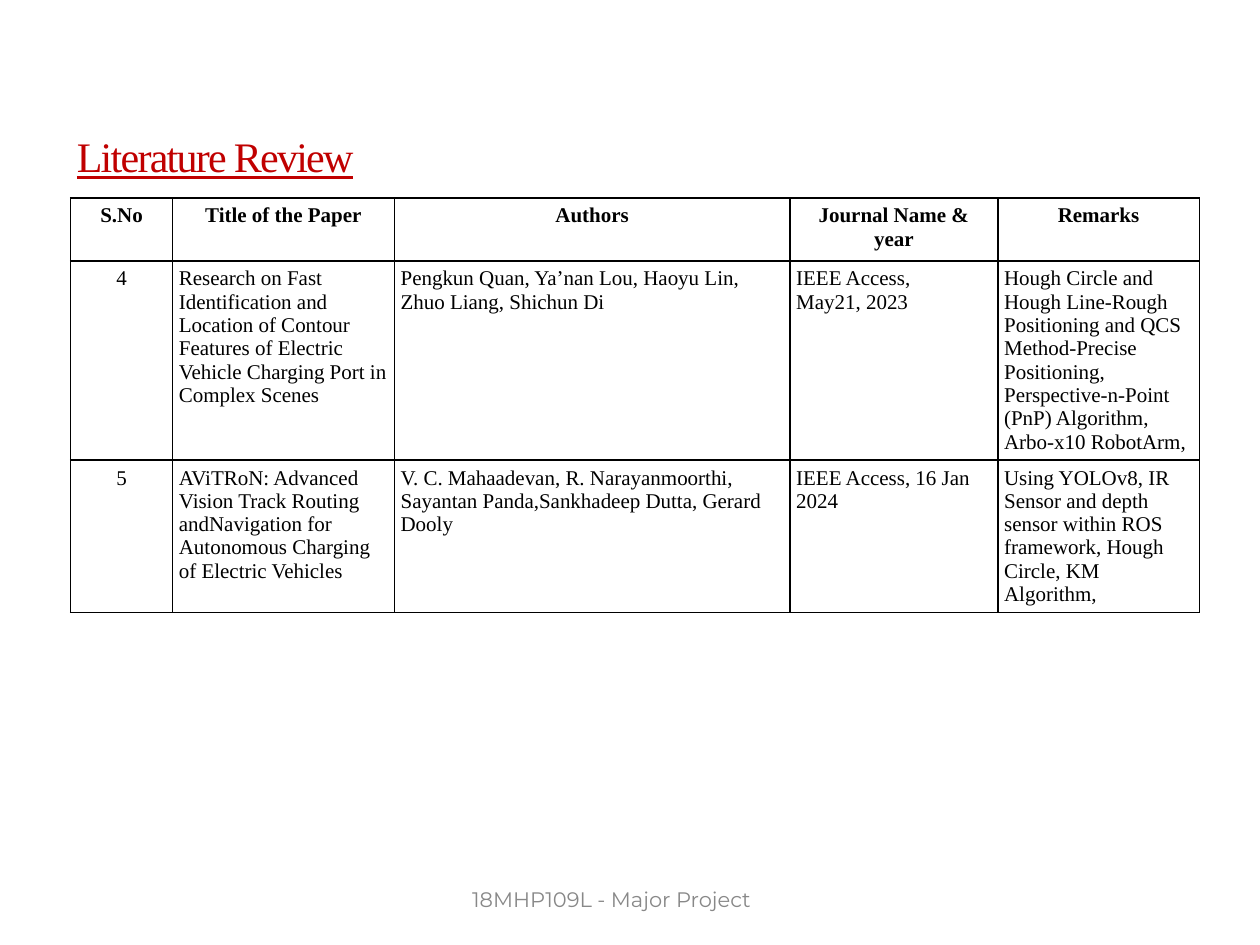
import dataclasses

import lxml.etree
import pptx
import pptx.dml.color
import pptx.enum.text
import pptx.oxml.ns
import pptx.util

Inches = pptx.util.Inches
Pt = pptx.util.Pt
RGBColor = pptx.dml.color.RGBColor
PP_ALIGN = pptx.enum.text.PP_ALIGN
MSO_ANCHOR = pptx.enum.text.MSO_ANCHOR
qn = pptx.oxml.ns.qn


@dataclasses.dataclass(frozen=True)
class Theme:
    heading_font: str = "Times New Roman"
    footer_font: str = "Montserrat"
    heading_color: str = "C00000"
    text_color: str = "000000"
    footer_color: str = "888888"
    border_color: str = "000000"
    heading_size: int = 24
    text_size: int = 12
    border_width: float = 0.96
    inset: float = 0.05


THEME = Theme()

COLUMN_WIDTHS = [0.81, 1.76, 3.14, 1.65, 1.6]
ROW_HEIGHTS = [0.5, 0.7, 1.18]
PAPERS = [
    ["S.No", "Title of the Paper", "Authors", "Journal Name & year", "Remarks"],
    [
        "4",
        "Research on Fast Identification and Location of Contour Features "
        "of Electric Vehicle Charging Port in Complex Scenes",
        "Pengkun Quan, Ya’nan Lou, Haoyu Lin, Zhuo Liang, Shichun Di",
        "IEEE Access,\nMay21, 2023",
        "Hough Circle and Hough Line-Rough Positioning and QCS Method-Precise "
        "Positioning, Perspective-n-Point (PnP) Algorithm, Arbo-x10 RobotArm,",
    ],
    [
        "5",
        "AViTRoN: Advanced Vision Track Routing andNavigation for "
        "Autonomous Charging of Electric Vehicles",
        "V. C. Mahaadevan, R. Narayanmoorthi, Sayantan Panda,"
        "Sankhadeep Dutta, Gerard Dooly",
        "IEEE Access, 16 Jan 2024",
        "Using YOLOv8, IR Sensor and depth sensor within ROS framework, "
        "Hough Circle, KM Algorithm,",
    ],
]


def set_insets(holder):
    holder.margin_left = holder.margin_right = Inches(THEME.inset)
    holder.margin_top = holder.margin_bottom = Inches(THEME.inset)


def style_paragraph(paragraph, family, size, color, align, bold=False):
    paragraph.alignment = align
    paragraph.font.name = family
    paragraph.font.size = Pt(size)
    paragraph.font.bold = bold
    paragraph.font.color.rgb = RGBColor.from_string(color)


def add_borders(cell):
    properties = cell._tc.get_or_add_tcPr()
    for position, side in enumerate(("a:lnL", "a:lnR", "a:lnT", "a:lnB")):
        line = lxml.etree.Element(qn(side), w=str(Pt(THEME.border_width)))
        fill = lxml.etree.SubElement(line, qn("a:solidFill"))
        lxml.etree.SubElement(fill, qn("a:srgbClr"), val=THEME.border_color)
        properties.insert(position, line)


def place_heading(slide, left, top, width, height):
    heading = slide.shapes.title
    heading.left, heading.top, heading.width, heading.height = left, top, width, height
    frame = heading.text_frame
    frame.text = "Literature Review"
    frame.word_wrap = True
    frame.auto_size = pptx.enum.text.MSO_AUTO_SIZE.NONE
    frame.vertical_anchor = MSO_ANCHOR.TOP
    set_insets(frame)
    paragraph = frame.paragraphs[0]
    style_paragraph(paragraph, THEME.heading_font, THEME.heading_size,
                    THEME.heading_color, PP_ALIGN.LEFT)
    paragraph.line_spacing = 0.72
    paragraph.space_before = Pt(0)
    paragraph.font.underline = True
    paragraph.runs[0]._r.get_or_add_rPr().set("spc", "-100")


def place_papers(slide, left, top, width, height):
    papers = slide.shapes.add_table(
        len(PAPERS), len(COLUMN_WIDTHS), left, top, width, height).table
    papers.first_row = papers.horz_banding = False
    for column, column_width in zip(papers.columns, COLUMN_WIDTHS):
        column.width = Inches(column_width)
    for row, row_height in zip(papers.rows, ROW_HEIGHTS):
        row.height = Inches(row_height)
    for row_index, entries in enumerate(PAPERS):
        is_header = row_index == 0
        for column_index, entry in enumerate(entries):
            cell = papers.cell(row_index, column_index)
            cell.text = entry
            cell.vertical_anchor = MSO_ANCHOR.TOP
            cell.fill.background()
            set_insets(cell)
            add_borders(cell)
            centred = is_header or column_index == 0
            for paragraph in cell.text_frame.paragraphs:
                style_paragraph(paragraph, THEME.heading_font, THEME.text_size,
                                THEME.text_color,
                                PP_ALIGN.CENTER if centred else PP_ALIGN.LEFT,
                                bold=is_header)


def place_footer(slide, left, top, width, height):
    frame = slide.shapes.add_textbox(left, top, width, height).text_frame
    frame.text = "18MHP109L - Major Project"
    frame.word_wrap = True
    frame.auto_size = pptx.enum.text.MSO_AUTO_SIZE.SHAPE_TO_FIT_TEXT
    frame.vertical_anchor = MSO_ANCHOR.MIDDLE
    set_insets(frame)
    style_paragraph(frame.paragraphs[0], THEME.footer_font, THEME.text_size,
                    THEME.footer_color, PP_ALIGN.CENTER)


def main():
    presentation = pptx.Presentation()
    presentation.slide_width = Inches(10)
    presentation.slide_height = Inches(7.5)
    slide = presentation.slides.add_slide(presentation.slide_layouts[5])
    place_heading(slide, Inches(0.56), Inches(1.09), Inches(8.62), Inches(0.53))
    place_papers(slide, Inches(0.56), Inches(1.57),
                 Inches(sum(COLUMN_WIDTHS)), Inches(sum(ROW_HEIGHTS)))
    place_footer(slide, Inches(3.22), Inches(6.97), Inches(3.27), Inches(0.33))
    presentation.save("out.pptx")


if __name__ == "__main__":
    main()
